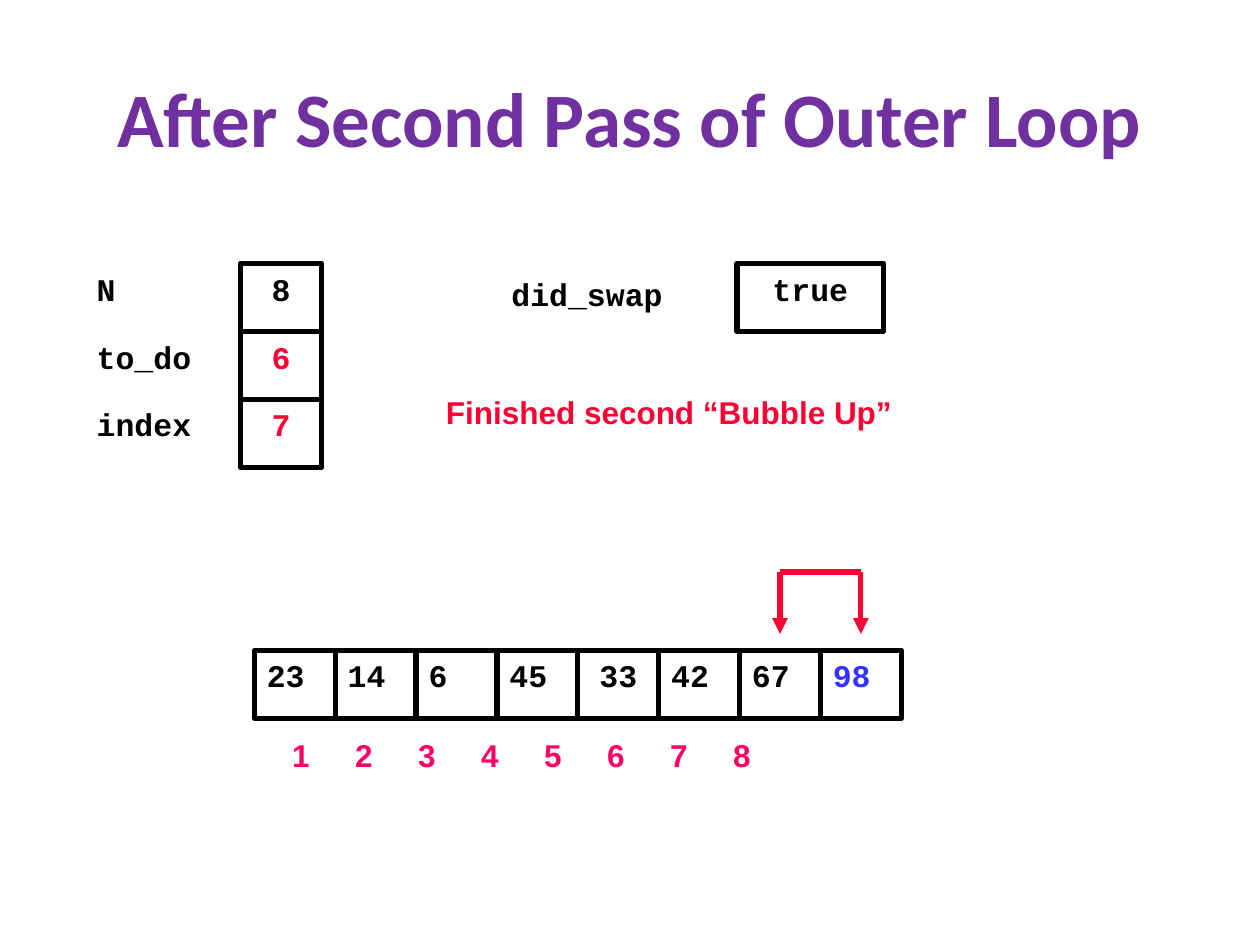
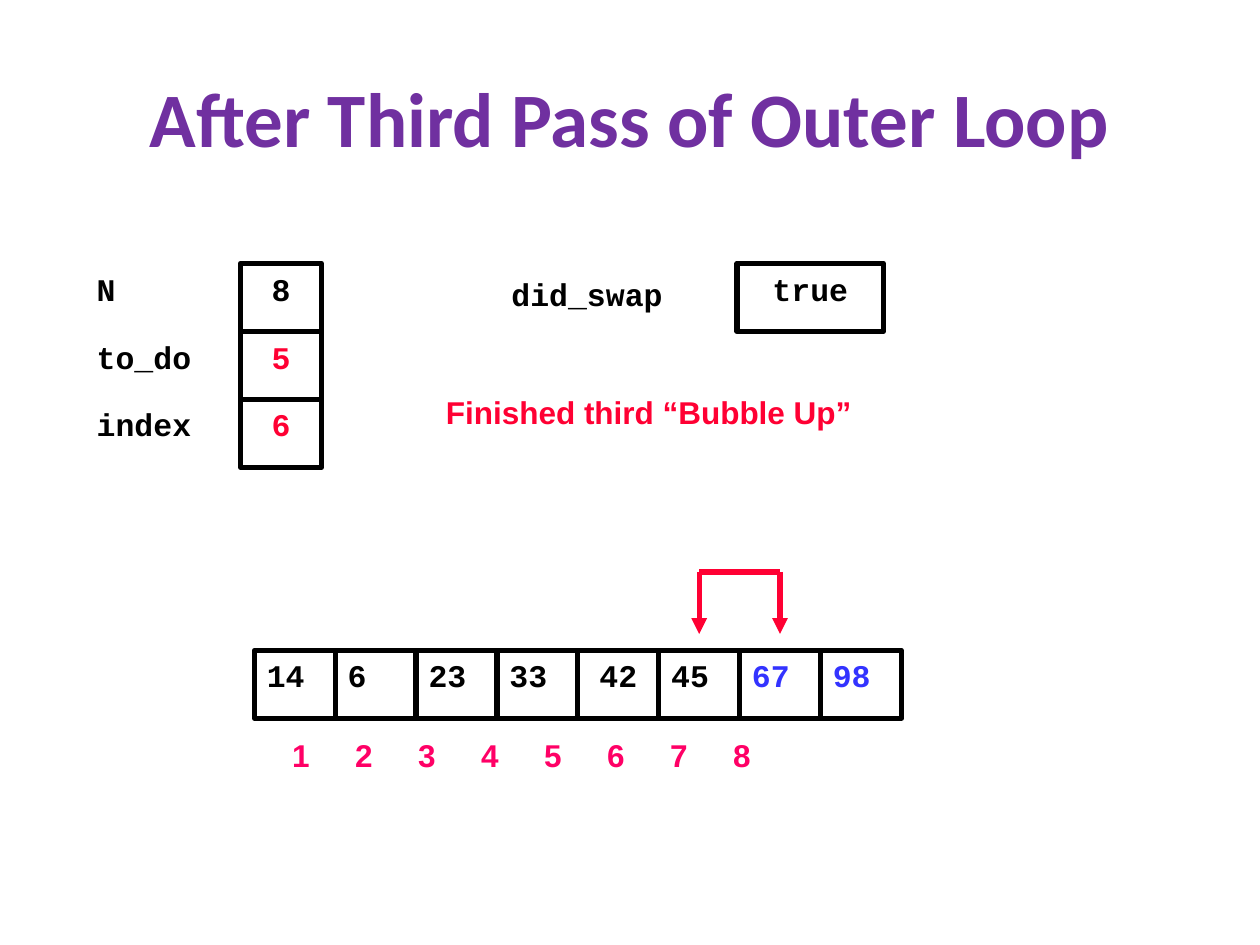
import pptx
import pptx.util
import pptx.dml.color
import pptx.enum.shapes
import pptx.enum.text
import pptx.oxml
from lxml import etree

Cm, Pt = pptx.util.Cm, pptx.util.Pt
ALIGN = pptx.enum.text.PP_ALIGN
ANCHOR = pptx.enum.text.MSO_ANCHOR

PASSES = [
    {
        "title": "After Second Pass of Outer Loop",
        "note": "Finished second “Bubble Up”",
        "to_do": 6,
        "index": 7,
        "items": [23, 14, 6, 45, 33, 42, 67, 98],
    },
    {
        "title": "After Third Pass of Outer Loop",
        "note": "Finished third “Bubble Up”",
        "to_do": 5,
        "index": 6,
        "items": [14, 6, 23, 33, 42, 45, 67, 98],
    },
]

PURPLE, BLACK, RED, PINK, BLUE = "7030A0", "000000", "FF0033", "FF0066", "3333FF"
CODE, PLAIN = "Courier New", "Arial"

# All lengths below are in centimetres.
CELL_W, CELL_H = 1.63, 1.37
ROW_X, ROW_Y = 5.13, 13.11
VAR_X, VAR_Y, NAME_X = 4.85, 5.31, 1.7
ARROW_TOP, ARROW_TIP = 11.53, 12.78
TABS = [1.59, 3.18, 4.94, 6.71, 8.12, 9.71, 11.3]


def rgb(code):
    return pptx.dml.color.RGBColor.from_string(code)


def style(para, size, face, color, align=ALIGN.LEFT):
    para.alignment = align
    font = para.font
    font.size, font.name, font.bold = Pt(size), face, True
    font.color.rgb = rgb(color)


def write(shape, text, face, color, align=ALIGN.LEFT):
    frame = shape.text_frame
    frame.word_wrap = True
    frame.vertical_anchor = ANCHOR.TOP
    frame.text = str(text)
    style(frame.paragraphs[0], 18, face, color, align)


def label(slide, text, x, y, width, face=CODE, color=BLACK, tabs=()):
    box = slide.shapes.add_textbox(Cm(x), Cm(y), Cm(width), Cm(1.02))
    if tabs:
        props = box.text_frame.paragraphs[0]._p.get_or_add_pPr()
        stops = etree.SubElement(props, pptx.oxml.ns.qn("a:tabLst"))
        for stop in tabs:
            etree.SubElement(stops, pptx.oxml.ns.qn("a:tab"),
                             pos=str(Cm(stop)), algn="l")
    write(box, text, face, color)


def cell(slide, value, x, y, width=CELL_W, color=BLACK, align=ALIGN.CENTER):
    box = slide.shapes.add_shape(pptx.enum.shapes.MSO_SHAPE.RECTANGLE,
                                 Cm(x), Cm(y), Cm(width), Cm(CELL_H))
    box.shadow.inherit = False
    box.fill.background()
    box.line.color.rgb = rgb(BLACK)
    box.line.width = Pt(3)
    write(box, value, CODE, color, align)


def line(group, x1, y1, x2, y2, arrow=False):
    link = group.shapes.add_connector(pptx.enum.shapes.MSO_CONNECTOR.STRAIGHT,
                                      Cm(x1), Cm(y1), Cm(x2), Cm(y2))
    link.line.color.rgb = rgb(RED)
    link.line.width = Pt(3)
    if arrow:
        etree.SubElement(link.line._get_or_add_ln(),
                         pptx.oxml.ns.qn("a:tailEnd"), type="triangle")
    etree.SubElement(link._element.spPr, pptx.oxml.ns.qn("a:effectLst"))


def head(slide, text):
    title = slide.shapes.title
    title.left, title.top = Cm(1.27), Cm(0.76)
    title.width, title.height = Cm(22.86), Cm(3.18)
    title.text_frame.text = text
    title.text_frame.vertical_anchor = ANCHOR.MIDDLE
    style(title.text_frame.paragraphs[0], 44, "Calibri", PURPLE, ALIGN.CENTER)


def state(slide, data):
    """Show the loop variables, the swap flag and the note."""
    rows = [("N", len(data["items"]), BLACK),
            ("to_do", data["to_do"], RED),
            ("index", data["index"], RED)]
    for i, (name, value, color) in enumerate(rows):
        y = VAR_Y + i * CELL_H
        label(slide, name, NAME_X, y, 2.41)
        cell(slide, value, VAR_X, y, color=color)
    label(slide, "did_swap", 10.06, 5.41, 5.08)
    cell(slide, "true", 14.86, VAR_Y, 2.95)
    label(slide, data["note"], 8.74, 7.8, 9.6, PLAIN, RED)


def array(slide, data):
    """Draw the list with its settled tail in blue and its positions below."""
    items, index = data["items"], data["index"]
    for i, value in enumerate(items, 1):
        cell(slide, value, ROW_X + (i - 1) * CELL_W, ROW_Y,
             color=BLUE if i > index else BLACK,
             align=ALIGN.CENTER if i == 5 else ALIGN.LEFT)
    places = "\t".join(str(i) for i in range(1, len(items) + 1))
    label(slide, places, 5.64, 14.71, 12.14, PLAIN, PINK, TABS)


def swap(slide, index):
    """Bracket the pair of cells that was compared last."""
    left = ROW_X + (index - 0.5) * CELL_W
    right = left + CELL_W
    group = slide.shapes.add_group_shape()
    for x in (left, right):
        line(group, x, ARROW_TOP, x, ARROW_TIP, arrow=True)
    line(group, left, ARROW_TOP, right, ARROW_TOP)


def main():
    deck = pptx.Presentation()
    deck.slide_width, deck.slide_height = Cm(25.4), Cm(19.05)
    for data in PASSES:
        slide = deck.slides.add_slide(deck.slide_layouts[5])
        head(slide, data["title"])
        array(slide, data)
        state(slide, data)
        swap(slide, data["index"])
    deck.save("out.pptx")


if __name__ == "__main__":
    main()
